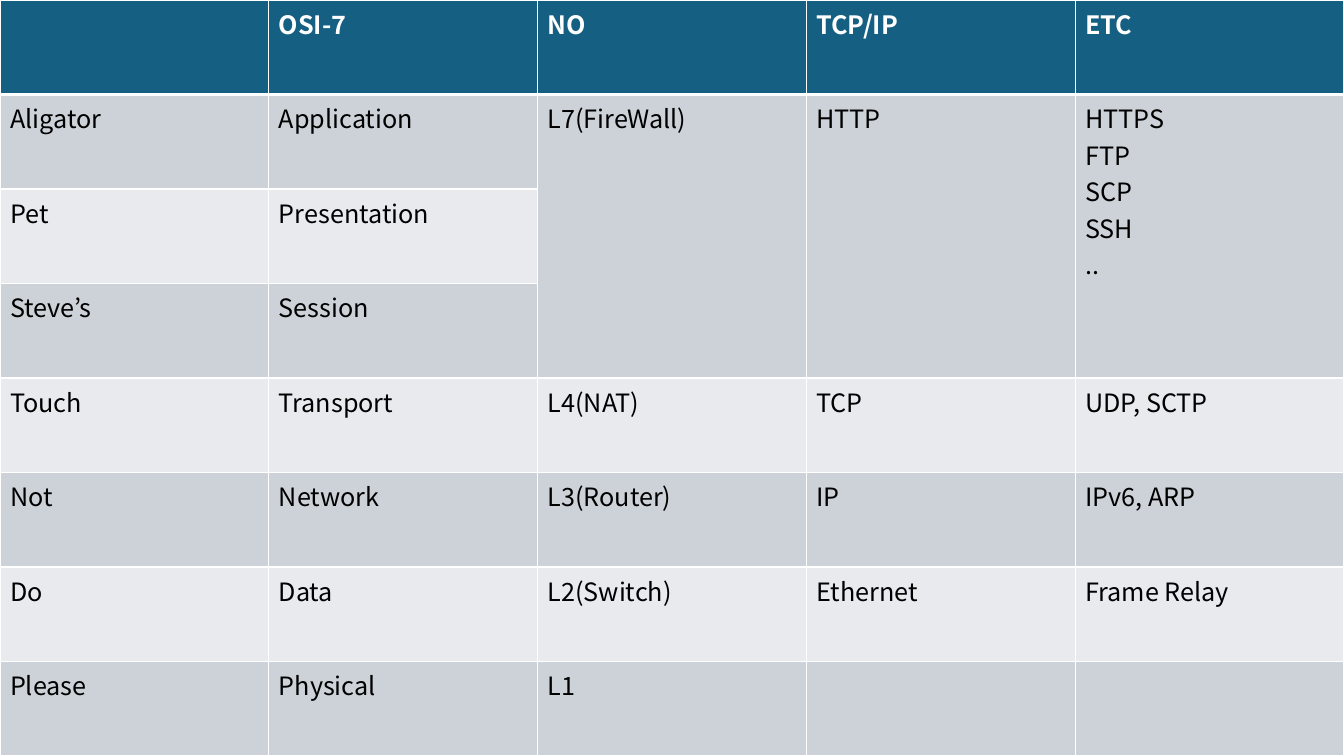
from lxml import etree
from pptx import Presentation
from pptx.dml.color import RGBColor
from pptx.oxml.ns import qn
from pptx.util import Inches, Pt

WIDTH, HEIGHT = Inches(13.33), Inches(7.5)
SIDES = ("L", "R", "T", "B")

LAYERS = [
    ["", "OSI-7", "NO", "TCP/IP", "ETC"],
    ["Aligator", "Application", "L7(FireWall)", "HTTP", "HTTPS\nFTP\nSCP\nSSH\n.."],
    ["Pet", "Presentation", "", "", ""],
    ["Steve’s", "Session", "", "", ""],
    ["Touch", "Transport", "L4(NAT)", "TCP", "UDP, SCTP"],
    ["Not", "Network", "L3(Router)", "IP", "IPv6, ARP"],
    ["Do", "Data", "L2(Switch)", "Ethernet", "Frame Relay"],
    ["Please", "Physical", "L1", "", ""],
]
UPPER_LAYER_MERGES = [((1, col), (3, col)) for col in (2, 3, 4)]


def rgb(value):
    return RGBColor.from_string(value)


class Deck:
    font = "Noto Sans CJK KR"
    header_fill = "156082"
    band_fills = ("E8EAED", "CCD2D8")
    border = "FFFFFF"
    header_format = {"size": Pt(18), "name": font, "bold": True}
    body_format = {"size": Pt(18), "name": font, "bold": False}

    def __init__(self, prs):
        self.s = prs.slides.add_slide(prs.slide_layouts[6])

    def borders(self, cell, widths):
        tc_pr = cell._tc.get_or_add_tcPr()
        for side in SIDES:
            ln = etree.SubElement(tc_pr, qn(f"a:ln{side}"), w=str(Pt(widths.get(side, 1))))
            fill = etree.SubElement(ln, qn("a:solidFill"))
            etree.SubElement(fill, qn("a:srgbClr"), val=self.border)

    def cell(self, cell, text, row):
        header = row == 0
        self.borders(cell, {0: {"B": 3}, 1: {"T": 3}}.get(row, {}))
        cell.fill.solid()
        cell.fill.fore_color.rgb = rgb(self.header_fill if header else self.band_fills[row % 2])
        cell.text = text
        for p in cell.text_frame.paragraphs:
            for name, value in (self.header_format if header else self.body_format).items():
                for r in p.runs:
                    setattr(r.font, name, value)
            for r in p.runs:
                r.font.color.rgb = rgb("FFFFFF" if header else "000000")

    def table(self, rows, merges):
        n_rows, n_cols = len(rows), len(rows[0])
        table = self.s.shapes.add_table(n_rows, n_cols, 0, 0, WIDTH, HEIGHT).table
        for r, texts in enumerate(rows):
            for c, text in enumerate(texts):
                self.cell(table.cell(r, c), text, r)
        for first, last in merges:
            table.cell(*first).merge(table.cell(*last))


def main():
    prs = Presentation()
    prs.slide_width, prs.slide_height = WIDTH, HEIGHT
    Deck(prs).table(LAYERS, UPPER_LAYER_MERGES)
    prs.save("out.pptx")


if __name__ == "__main__":
    main()
